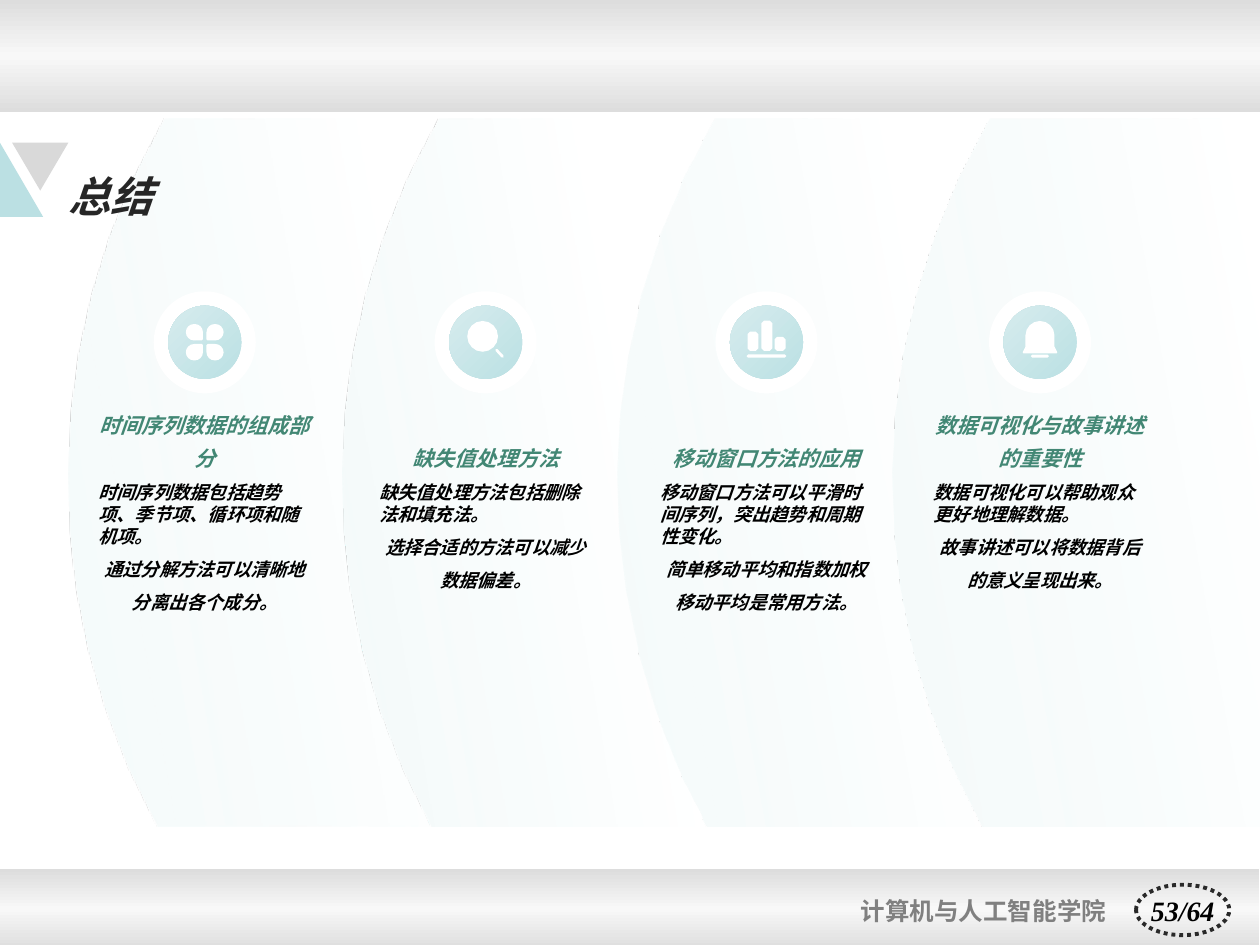
from math import sqrt
from lxml.etree import SubElement
from pptx import Presentation
from pptx.dml.color import RGBColor
from pptx.enum.dml import MSO_LINE
from pptx.enum.shapes import MSO_SHAPE
from pptx.enum.text import MSO_ANCHOR, PP_ALIGN
from pptx.oxml.ns import qn
from pptx.util import Pt

SANS, SERIF = "Noto Sans CJK SC", "Times New Roman"


def paint(shape, *stops, angle=0):
    """Fill with one hex colour, or with (position, hex, opacity) stops."""
    shape.shadow.inherit = False
    shape.line.fill.background()
    if len(stops) == 1:
        shape.fill.solid()
        shape.fill.fore_color.rgb = RGBColor.from_string(stops[0])
        return
    shape.fill.gradient()
    grad = shape.fill._xPr.find(qn("a:gradFill"))
    grad.find(qn("a:lin")).set("ang", str(angle * 60000))
    group = grad.find(qn("a:gsLst"))
    for old in list(group):
        group.remove(old)
    for place, color, alpha in stops:
        stop = SubElement(group, qn("a:gs"), pos=str(place * 1000))
        tint = SubElement(stop, qn("a:srgbClr"), val=color)
        if alpha < 100:
            SubElement(tint, qn("a:alpha"), val=str(alpha * 1000))


def write(shape, text, size=10.5, color="000000", font=SANS, italic=True,
          align=PP_ALIGN.LEFT, space=1.0, anchor=MSO_ANCHOR.TOP, wrap=True):
    """Add a paragraph to the shape's text."""
    frame = shape.text_frame
    frame.word_wrap, frame.vertical_anchor = wrap, anchor
    frame.margin_left = frame.margin_right = 0
    frame.margin_top = frame.margin_bottom = 0
    para = frame.add_paragraph() if frame.text else frame.paragraphs[0]
    para.alignment, para.line_spacing = align, space
    para._p.get_or_add_pPr().set("hangingPunct", "0")
    run = para.add_run()
    run.text = text
    run.font.size, run.font.name = Pt(size), font
    run.font.bold, run.font.italic = True, italic
    run.font.color.rgb = RGBColor.from_string(color)
    SubElement(run.font._element, qn("a:ea"), typeface=SANS)


deck = Presentation()
deck.slide_width, deck.slide_height = Pt(720), Pt(540)
shapes = deck.slides.add_slide(deck.slide_layouts[6]).shapes

# Header and footer
for left, top, height in ((0, 0, 64), (-0.5, 496.8, 45.4)):
    band = shapes.add_shape(MSO_SHAPE.RECTANGLE, Pt(left), Pt(top), Pt(720),
                            Pt(height))
    paint(band, (0, "DDDDDD", 100), (50, "F8F8F8", 100), (100, "DDDDDD", 100),
          angle=90)
page = shapes.add_shape(MSO_SHAPE.OVAL, Pt(649.2), Pt(505.6), Pt(53.3), Pt(28.8))
page.line.color.rgb = RGBColor.from_string("292929")
page.line.width, page.line.dash_style = Pt(2.25), MSO_LINE.ROUND_DOT
school = shapes.add_shape(MSO_SHAPE.ROUNDED_RECTANGLE, Pt(487.4), Pt(496.8),
                          Pt(161.3), Pt(47.5))
school.adjustments[0] = 0.02
school.line.fill.background()
for shape in (page, school):
    shape.shadow.inherit = False
    shape.fill.background()
write(page, "53/64", size=16, font=SERIF, align=PP_ALIGN.CENTER,
      anchor=MSO_ANCHOR.MIDDLE, wrap=False)
write(school, "计算机与人工智能学院", size=14, color="808080", font=SERIF,
      italic=False, anchor=MSO_ANCHOR.MIDDLE)
school.text_frame.margin_left = Pt(4.2)
back = shapes.add_shape(MSO_SHAPE.RECTANGLE, 0, Pt(67.7), Pt(720), Pt(404.6))
paint(back, "FFFFFF")

# Icons: polygons of (x, y, corner radius) around the centre of the disc
petals = [[(sx * x, sy * y, r) for x, y, r in
           ((1, 1, 0.7), (10.8, 1, 4.8), (10.8, 10.4, 4.7), (1, 10.4, 4.7))]
          for sx in (-1, 1) for sy in (-1, 1)]
lens = [[(-10.5, -12.2, 8.8), (7.1, -12.2, 8.8), (7.1, 5.4, 8.8), (-10.5, 5.4, 8.8)],
        [(6.3, 3.4, 0.7), (10.7, 8, 0.7), (9.6, 9.2, 0.7), (5.3, 4.5, 0.7)]]
bars = [[(a, b, r), (c, b, r), (c, d, r), (a, d, r)] for a, b, c, d, r in
        ((-11.4, 7, 11.4, 8.8, 0.9), (-10.8, -6, -4.6, 4.9, 1.4),
         (-2.9, -12.3, 3.4, 4.9, 1.4), (4.6, -3, 10.9, 4.9, 1.4))]
bell = [[(-8.3, -12.2, 8.3), (8.3, -12.2, 8.3), (8.3, 2.5, 0), (10.2, 6.3, 0.7),
         (-10.2, 6.3, 0.7), (-8.3, 2.5, 0)],
        [(-5.2, 7, 0.9), (5.2, 7, 0.9), (5.2, 8.8, 0.9), (-5.2, 8.8, 0.9)]]

# Columns: centre, right edge of panel, start of tint, icon, heading, two notes
columns = (
    (117, 663.8, 65, petals, "时间序列数据的组成部分",
     "时间序列数据包括趋势项、季节项、循环项和随机项。",
     "通过分解方法可以清晰地分离出各个成分。"),
    (277.5, 720, 65, lens, "缺失值处理方法",
     "缺失值处理方法包括删除法和填充法。", "选择合适的方法可以减少数据偏差。"),
    (438, 720, 48, bars, "移动窗口方法的应用",
     "移动窗口方法可以平滑时间序列，突出趋势和周期性变化。",
     "简单移动平均和指数加权移动平均是常用方法。"),
    (594.3, 720, 5, bell, "数据可视化与故事讲述的重要性",
     "数据可视化可以帮助观众更好地理解数据。",
     "故事讲述可以将数据背后的意义呈现出来。"),
)
top, base, mid, bend, hub = 67.7, 472.3, 273.6, 410, 195.6
for i, (cx, right, start, icon, head, first, second) in enumerate(columns):
    left = 38.9 + 157 * i
    arc = []
    for n in range(13):
        y = base + (top - base) * n / 12
        arc.append((Pt(left + bend - sqrt(bend ** 2 - (y - mid) ** 2)), Pt(y)))
    pen = shapes.build_freeform(Pt(right), Pt(top))
    pen.add_line_segments([(Pt(right), Pt(base))] + arc)
    paint(pen.convert_to_shape(), (start, "FFFFFF", 100), (100, "F1F9F9", 73),
          angle=170)

    for size, fill in ((58.3, ["FFFFFF"]),
                       (41.8, [(0, "BBE0E3", 100), (100, "D6ECEE", 100)])):
        disc = shapes.add_shape(MSO_SHAPE.OVAL, Pt(cx - size / 2),
                                Pt(hub - size / 2), Pt(size), Pt(size))
        paint(disc, *fill, angle=225)

    pen = None
    for part in icon:
        dots = []
        for k, (x, y, r) in enumerate(part):
            ends = []
            for px, py, _ in (part[k - 1], part[(k + 1) % len(part)]):
                far = r / sqrt((px - x) ** 2 + (py - y) ** 2)
                ends.append(((px - x) * far, (py - y) * far))
            (ax, ay), (bx, by) = ends
            steps = 4 if r > 4 else 1
            for t in [n / steps for n in range(steps + 1)] if r else [0]:
                # Cubic rounding; 1.35 sets the handles for a circular corner
                u = (1 - t) ** 3 + 1.35 * (1 - t) ** 2 * t
                v = t ** 3 + 1.35 * (1 - t) * t ** 2
                dots.append((Pt(cx + x + u * ax + v * bx),
                             Pt(hub + y + u * ay + v * by)))
        if pen is None:
            pen = shapes.build_freeform(*dots[0])
        else:
            pen.move_to(*dots[0])
        pen.add_line_segments(dots[1:])
    paint(pen.convert_to_shape(), "FFFFFF")

    title = shapes.add_textbox(Pt(cx - 60.8), Pt(229.5), Pt(121.7), Pt(39.6))
    write(title, head, size=12, color="428774", align=PP_ALIGN.CENTER, space=1.3,
          anchor=MSO_ANCHOR.BOTTOM)
    body = shapes.add_textbox(Pt(cx - 60.8), Pt(275), Pt(121.7), Pt(141.8))
    write(body, first)
    write(body, second, align=PP_ALIGN.CENTER, space=1.5)

# Slide title with its two triangles
title = shapes.add_textbox(Pt(38.9), Pt(96.5), Pt(641.5), Pt(27.4))
write(title, "总结", size=24, color="262626", space=1.1, anchor=MSO_ANCHOR.MIDDLE)
for x, width, height, turn, color in ((-24.8, 49.5, 42.5, 0, "BBE0E3"),
                                      (6.9, 32.2, 27.4, 180, "D9D9D9")):
    mark = shapes.add_shape(MSO_SHAPE.ISOSCELES_TRIANGLE, Pt(x), Pt(81.5),
                            Pt(width), Pt(height))
    mark.rotation = turn
    paint(mark, color)

deck.save("out.pptx")
